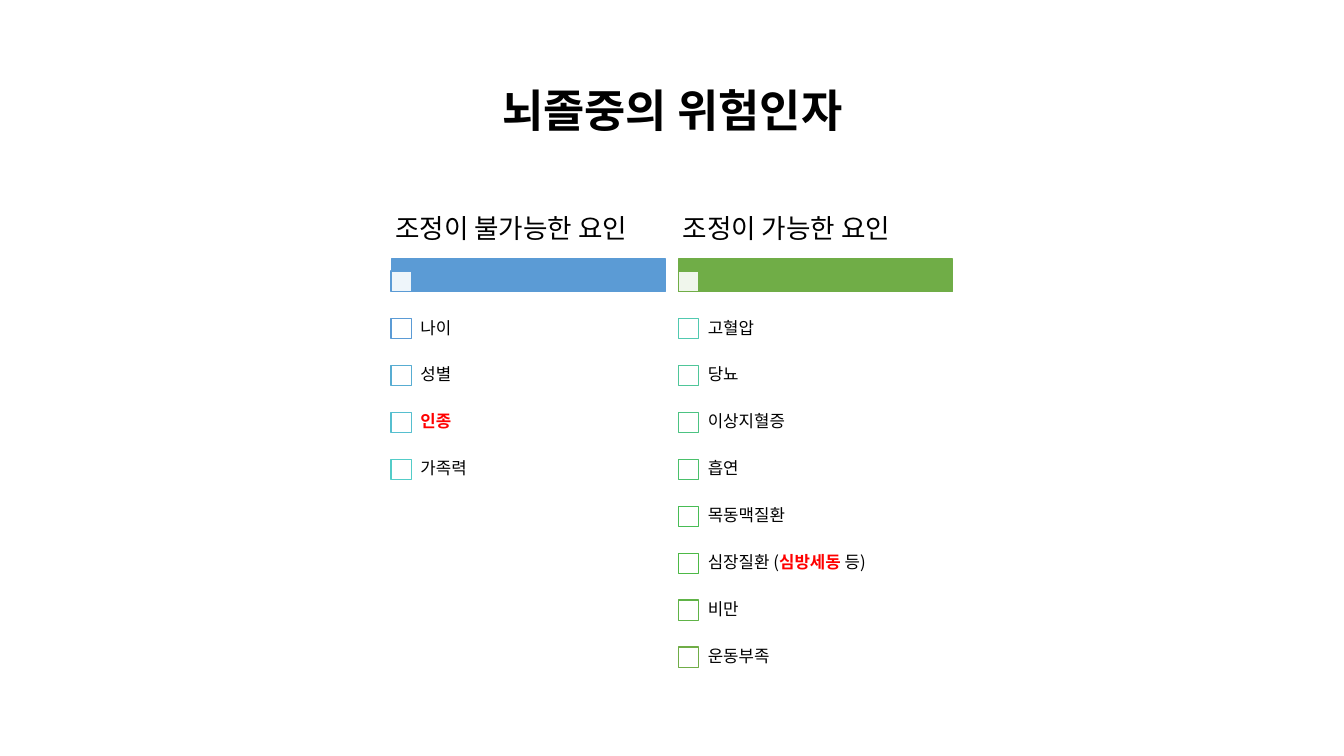
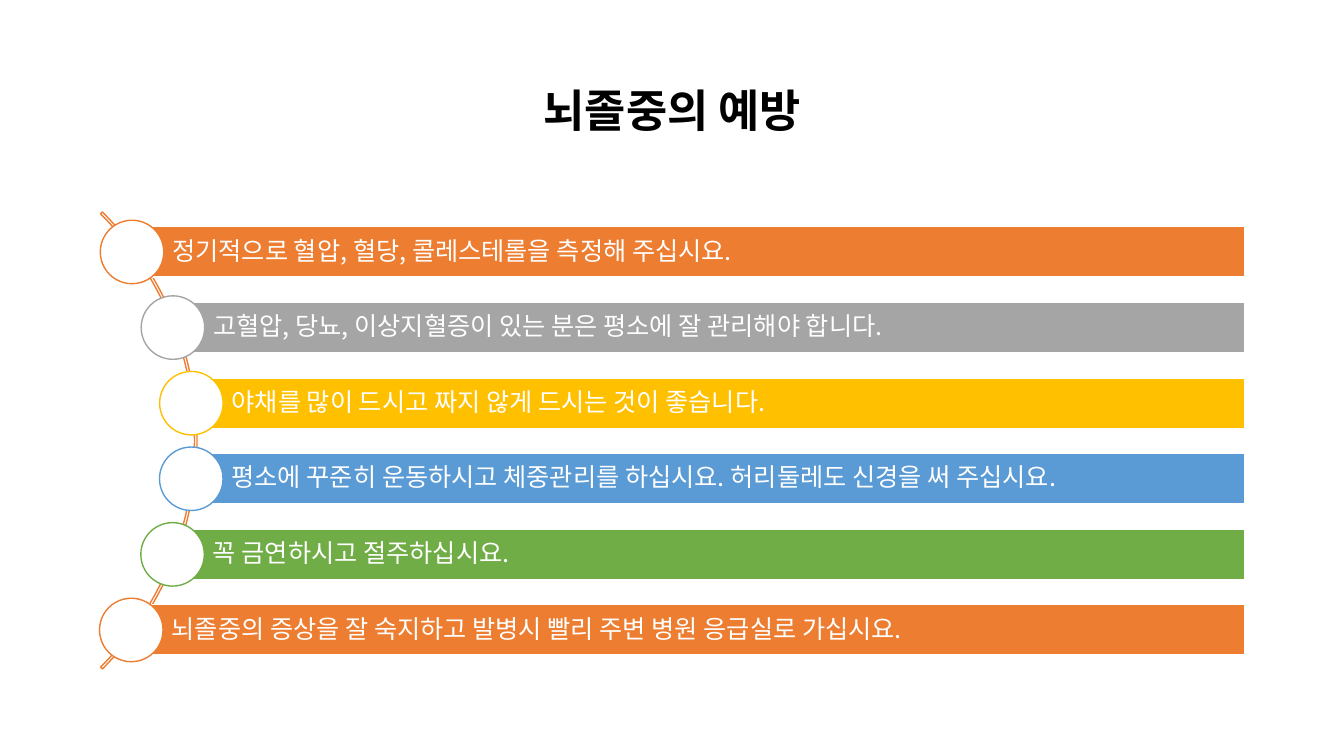
"""Builds two slides on stroke: its risk factors and its prevention."""
from dataclasses import dataclass
from math import sqrt

from lxml.etree import SubElement
from pptx import Presentation
from pptx.dml.color import RGBColor
from pptx.enum.shapes import MSO_SHAPE
from pptx.enum.text import MSO_ANCHOR, PP_ALIGN
from pptx.oxml.ns import qn
from pptx.util import Inches, Pt


@dataclass(frozen=True)
class Theme:
    font: str = "Noto Sans CJK KR"
    black: str = "000000"
    white: str = "FFFFFF"
    red: str = "FF0000"
    orange: str = "ED7D31"
    gray: str = "A5A5A5"
    gold: str = "FFC000"
    blue: str = "5B9BD5"
    green: str = "70AD47"
    title_size: int = 32
    heading_size: int = 19
    bar_size: int = 18
    item_size: int = 12
    line_width: int = 1


THEME = Theme()
RISK_TITLE = "뇌졸중의 위험인자"
PREVENTION_TITLE = "뇌졸중의 예방"

RISK_COLUMNS = [
    {"heading": "조정이 불가능한 요인", "left": 3.88, "color": THEME.blue, "items": [
        ("5B9BD5", [("나이", False)]),
        ("58ADD2", [("성별", False)]),
        ("56BFCF", [("인종", True)]),
        ("53CCC8", [("가족력", False)]),
    ]},
    {"heading": "조정이 가능한 요인", "left": 6.73, "color": THEME.green, "items": [
        ("51C9B0", [("고혈압", False)]),
        ("4FC699", [("당뇨", False)]),
        ("4CC382", [("이상지혈증", False)]),
        ("4AC06B", [("흡연", False)]),
        ("48BC55", [("목동맥질환", False)]),
        ("4DB946", [("심장질환 (", False), ("심방세동", True), (" 등)", False)]),
        ("60B347", [("비만", False)]),
        ("70AD47", [("운동부족", False)]),
    ]},
]

PREVENTION_STEPS = [
    ("정기적으로 혈압, 혈당, 콜레스테롤을 측정해 주십시요.", THEME.orange),
    ("고혈압, 당뇨, 이상지혈증이 있는 분은 평소에 잘 관리해야 합니다.", THEME.gray),
    ("야채를 많이 드시고 짜지 않게 드시는 것이 좋습니다.", THEME.gold),
    ("평소에 꾸준히 운동하시고 체중관리를 하십시요. 허리둘레도 신경을 써 주십시요.", THEME.blue),
    ("꼭 금연하시고 절주하십시요.", THEME.green),
    ("뇌졸중의 증상을 잘 숙지하고 발병시 빨리 주변 병원 응급실로 가십시요.", THEME.orange),
]

COLUMN_WIDTH, BOX_SIZE, LABEL_HEIGHT = 2.72, 0.2, 0.47
FIRST_BOX_TOP, LAST_BOX_TOP = 3.16, 6.42
ARC_CENTER_X, ARC_CENTER_Y, ARC_SIZE, DOT_RADIUS_ON_ARC = -1.25, 4.37, 6.41, 3.17
BAR_TOP, BAR_PITCH, BAR_HEIGHT, BAR_RIGHT, DOT_SIZE = 2.25, 0.75, 0.5, 12.35, 0.63


def add_outline(slide, kind, box, fill, line, alpha=None):
    shape = slide.shapes.add_shape(kind, *map(Inches, box))
    shape.shadow.inherit = False
    if fill:
        shape.fill.solid()
        shape.fill.fore_color.rgb = RGBColor.from_string(fill)
        if alpha:
            color = shape.fill._xPr.find(qn("a:solidFill"))[0]
            SubElement(color, qn("a:alpha"), val=str(alpha * 1000))
    else:
        shape.fill.background()
    shape.line.color.rgb = RGBColor.from_string(line)
    shape.line.width = Pt(THEME.line_width)
    return shape


def write_text(shape, runs, size, insets, align=PP_ALIGN.LEFT, space_after=0.35):
    frame = shape.text_frame
    sides = ("margin_left", "margin_top", "margin_right", "margin_bottom")
    settings = dict(zip(sides, map(Inches, insets)))
    settings.update(word_wrap=True, vertical_anchor=MSO_ANCHOR.MIDDLE)
    for name, value in settings.items():
        setattr(frame, name, value)
    paragraph = frame.paragraphs[0]
    formats = {"alignment": align, "line_spacing": 0.9, "space_after": Pt(size * space_after)}
    for name, value in formats.items():
        setattr(paragraph, name, value)
    for text, color, bold in runs:
        run = paragraph.add_run()
        run.text = text
        for name, value in {"size": Pt(size), "bold": bold, "name": THEME.font}.items():
            setattr(run.font, name, value)
        run.font.color.rgb = RGBColor.from_string(color)
        SubElement(run._r.get_or_add_rPr(), qn("a:ea"), typeface=THEME.font)


def add_text(slide, box, *args, **kwargs):
    write_text(slide.shapes.add_textbox(*map(Inches, box)), *args, **kwargs)


def add_titled_slide(presentation, title):
    slide = presentation.slides.add_slide(presentation.slide_layouts[6])
    add_text(slide, (0.92, 0.4, 11.5, 1.45), [(title, THEME.black, True)], THEME.title_size,
             (0.1, 0.05, 0.1, 0.05), align=PP_ALIGN.CENTER, space_after=0)
    return slide


def add_risk_column(slide, heading, left, color, items, pitch):
    square = MSO_SHAPE.RECTANGLE
    add_outline(slide, square, (left, 2.57, COLUMN_WIDTH, 0.32), color, color)
    add_outline(slide, square, (left, 2.69, BOX_SIZE, BOX_SIZE), THEME.white, color, alpha=90)
    add_text(slide, (left, 2, COLUMN_WIDTH, 0.57), [(heading, THEME.black, False)],
             THEME.heading_size, (0.04, 0.03, 0.04, 0.03))
    for index, (border, parts) in enumerate(items):
        top = FIRST_BOX_TOP + index * pitch
        add_outline(slide, square, (left, top, BOX_SIZE, BOX_SIZE), THEME.white, border)
        runs = [(text, THEME.red if marked else THEME.black, marked) for text, marked in parts]
        label_top = top + (BOX_SIZE - LABEL_HEIGHT) / 2
        add_text(slide, (left + BOX_SIZE, label_top, COLUMN_WIDTH - BOX_SIZE, LABEL_HEIGHT),
                 runs, THEME.item_size, (0.09,) * 4)


def add_prevention_list(slide):
    corner = (ARC_CENTER_X - ARC_SIZE / 2, ARC_CENTER_Y - ARC_SIZE / 2)
    arc = add_outline(slide, MSO_SHAPE.BLOCK_ARC, (*corner, ARC_SIZE, ARC_SIZE),
                      None, THEME.orange)
    for index, value in enumerate((189, 27, 0.004)):
        arc.adjustments[index] = value
    for index, (text, color) in enumerate(PREVENTION_STEPS):
        top = BAR_TOP + index * BAR_PITCH
        middle = top + BAR_HEIGHT / 2
        left = ARC_CENTER_X + sqrt(DOT_RADIUS_ON_ARC ** 2 - (middle - ARC_CENTER_Y) ** 2)
        bar = add_outline(slide, MSO_SHAPE.RECTANGLE,
                          (left, top, BAR_RIGHT - left, BAR_HEIGHT), color, THEME.white)
        write_text(bar, [(text, THEME.white, False)], THEME.bar_size, (0.4, 0.05, 0.05, 0.05))
        add_outline(slide, MSO_SHAPE.OVAL,
                    (left - DOT_SIZE / 2, middle - DOT_SIZE / 2, DOT_SIZE, DOT_SIZE),
                    THEME.white, color)


def main():
    presentation = Presentation()
    presentation.slide_width, presentation.slide_height = Inches(13.33), Inches(7.5)
    risk_slide = add_titled_slide(presentation, RISK_TITLE)
    longest = max(len(column["items"]) for column in RISK_COLUMNS)
    pitch = (LAST_BOX_TOP - FIRST_BOX_TOP) / (longest - 1)
    for column in RISK_COLUMNS:
        add_risk_column(risk_slide, **column, pitch=pitch)
    add_prevention_list(add_titled_slide(presentation, PREVENTION_TITLE))
    presentation.save("out.pptx")


if __name__ == "__main__":
    main()
